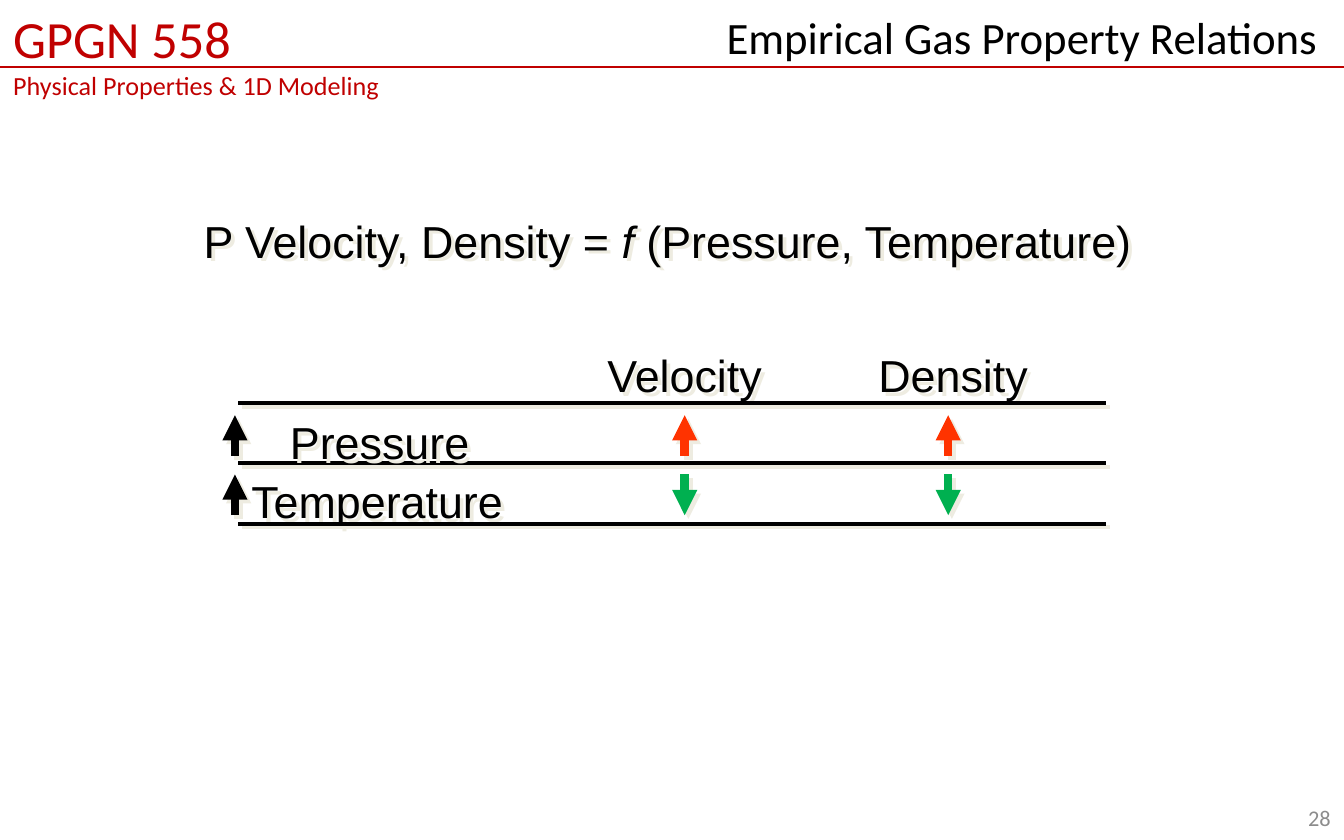
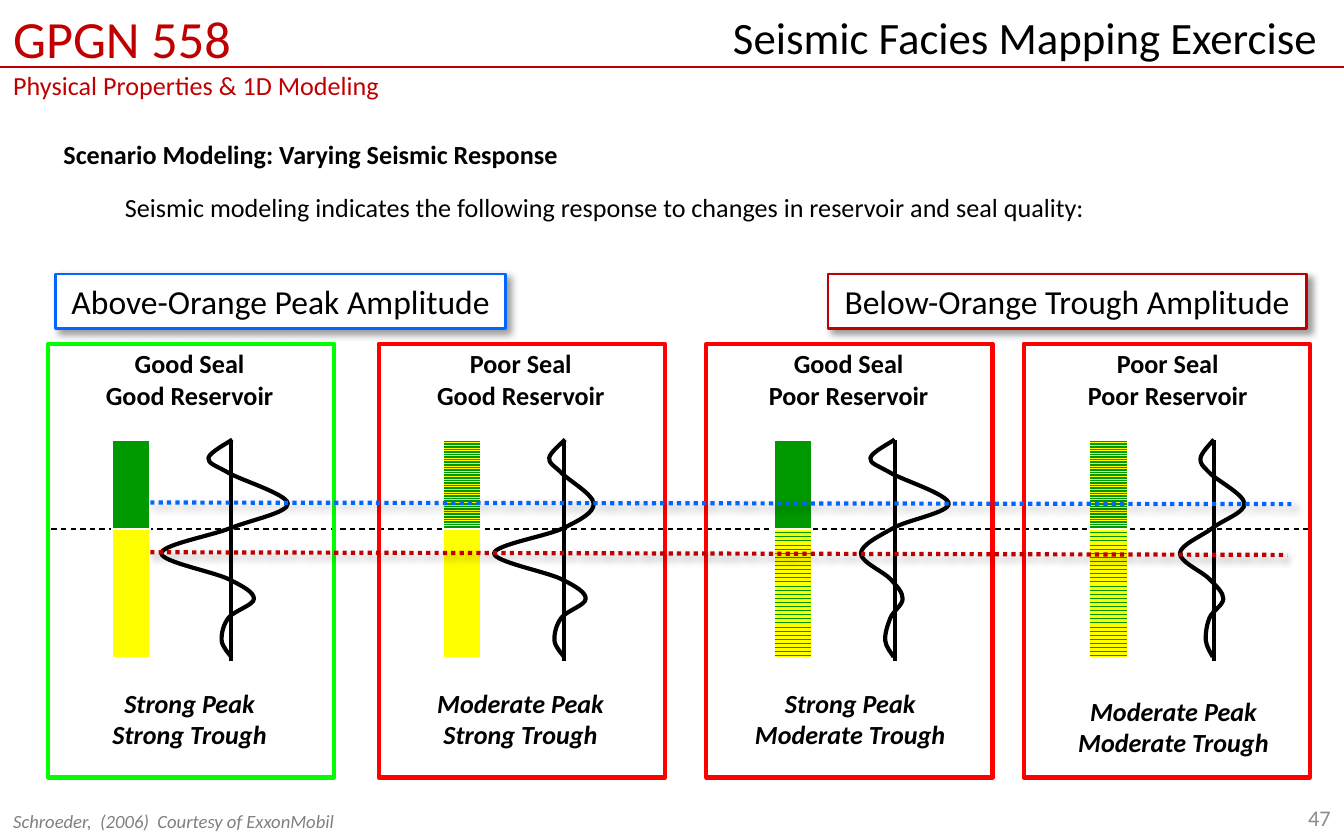
import lxml.etree
import pptx
import pptx.dml.color
import pptx.enum.dml
import pptx.enum.shapes
import pptx.enum.text
import pptx.oxml.ns
import pptx.util

Cm = pptx.util.Cm
Pt = pptx.util.Pt
ALIGN = pptx.enum.text.PP_ALIGN
ANCHOR = pptx.enum.text.MSO_ANCHOR
PATTERN = pptx.enum.dml.MSO_PATTERN
DASH = pptx.enum.dml.MSO_LINE
RECTANGLE = pptx.enum.shapes.MSO_SHAPE.RECTANGLE
STRAIGHT = pptx.enum.shapes.MSO_CONNECTOR.STRAIGHT

COLORS = {
    "black": "000000", "white": "FFFFFF", "crimson": "C00000",
    "number": "8C8C8C", "credit": "808080", "cream": "EEECE1",
    "rise": "FF3300", "fall": "00B050", "shale": "009900", "sand": "FFFF00",
    "good": "00FF00", "poor": "FF0000", "blue": "0066FF",
}
CREAM_SHADOW = ("cream", 100, 0, 2.8)
SOFT_SHADOW = ("black", 40, 4, 3)

COURSE = "GPGN 558"
CHAPTER = "Physical Properties & 1D Modeling"

FORMULA = [("P Velocity, Density = ", {}), ("f ", {"italic": True}), ("(Pressure, Temperature)", {})]
LABELS_UNDER_RULES = [
    (FORMULA, (3.6, 3.91, 18.06, 1.27), None),
    ("Temperature", (4.5, 8.63, 5.31, 1.5), 1.2),
    ("Density", (16.35, 6.45, 3.38, 1.27), None),
    ("Velocity", (11.23, 6.45, 3.45, 1.27), None),
]
LABELS_OVER_RULES = [("Pressure", (5.23, 7.52, 3.94, 1.5), 1.2)]
RULE_TOP, RULE_STEP, RULE_COUNT = 7.62, 1.14, 3
ARROW_COLUMNS = [4.44, 12.94, 17.92]
ARROW_ROWS = [
    [("black", "up"), ("rise", "up"), ("rise", "up")],
    [("black", "up"), ("fall", "down"), ("fall", "down")],
]
ARROW_TOP, ARROW_STEP, ARROW_LENGTH = 7.85, 1.12, 0.77

SCENARIO_HEADING = "Scenario Modeling: Varying Seismic Response"
SCENARIO_TEXT = "Seismic modeling indicates the following response to changes in reservoir and seal quality:"
CREDIT = "Schroeder,  (2006)  Courtesy of ExxonMobil"
BANNERS = [
    ("Above-Orange Peak Amplitude", "blue", (1.05, 5.18, 8.51, 1.03)),
    ("Below-Orange Trough Amplitude", "crimson", (15.65, 5.18, 9.04, 1.03)),
]
FRAME_TOP, FRAME_WIDTH, FRAME_HEIGHT = 6.5, 5.41, 8.2
HEADING_TOP, CAPTION_HEIGHT = 6.45, 1.45
COLUMN_WIDTH = 0.72
SEAL_TOP, CONTACT, RESERVOIR_HEIGHT = 8.32, 10, 2.44
TRACE_DEPTHS = [8.31, 8.66, 8.94, 9.52, 9.98, 10.46, 10.95, 11.32, 11.68, 12.11, 12.42]
PANELS = [
    {
        "frame": (0.91, "good"), "column": 2.12, "axis": 4.37,
        "heading": ["Good Seal", "Good Reservoir"], "heading_at": (1.73, 3.71),
        "seal": ("shale", 2.36), "reservoir": "sand",
        "trace": [0.02, -0.43, -0.05, 1.07, 0, -1.32, -0.05, 0.43, -0.05, -0.18, 0],
        "result": ["Strong Peak", "Strong Trough"], "result_at": (1.86, 12.87, 3.45),
    },
    {
        "frame": (7.16, "poor"), "column": 8.38, "axis": 10.66,
        "heading": ["Poor Seal", "Good Reservoir"], "heading_at": (7.99, 3.71),
        "seal": (PATTERN.LIGHT_HORIZONTAL, 2.11), "reservoir": "sand",
        "trace": [0.02, -0.28, -0.05, 0.56, 0, -1.32, -0.05, 0.41, -0.05, -0.18, 0],
        "result": ["Moderate Peak", "Strong Trough"], "result_at": (8, 12.87, 3.68),
    },
    {
        "frame": (13.35, "poor"), "column": 14.63, "axis": 16.91,
        "heading": ["Good Seal", "Poor Reservoir"], "heading_at": (14.26, 3.56),
        "seal": ("shale", 2.11), "reservoir": PATTERN.DARK_HORIZONTAL,
        "trace": [0, -0.46, -0.08, 1.02, -0.02, -0.64, -0.08, 0.15, -0.08, -0.18, -0.02],
        "result": ["Strong Peak", "Moderate Trough"], "result_at": (14, 12.87, 4.14),
    },
    {
        "frame": (19.35, "poor"), "column": 20.59, "axis": 22.94,
        "heading": ["Poor Seal", "Poor Reservoir"], "heading_at": (20.29, 3.56),
        "seal": (PATTERN.LIGHT_HORIZONTAL, 2.11), "reservoir": PATTERN.DARK_HORIZONTAL,
        "trace": [0, -0.25, -0.08, 0.58, -0.02, -0.64, -0.08, 0.18, -0.08, -0.15, -0.02],
        "result": ["Moderate Peak", "Moderate Trough"], "result_at": (20.11, 13.02, 4.14),
    },
]


def color(name):
    return pptx.dml.color.RGBColor.from_string(COLORS[name])


def lengths(values):
    return [Cm(value) for value in values]


def child(parent, tag, **attributes):
    return lxml.etree.SubElement(parent, pptx.oxml.ns.qn(tag), attributes)


def set_effect(shape, shadow=None):
    effects = child(shape._element.spPr, "a:effectLst")
    if shadow:
        name, opacity, blur, distance = shadow
        outer = child(effects, "a:outerShdw", blurRad=str(Pt(blur)), dist=str(Pt(distance)),
                      dir="2700000", algn="ctr", rotWithShape="0")
        tint = child(outer, "a:srgbClr", val=COLORS[name])
        child(tint, "a:alpha", val=str(opacity * 1000))


def write(frame, paragraphs, align=ALIGN.LEFT, spacing=None, wrap=True, anchor=ANCHOR.TOP, **style):
    frame.word_wrap = wrap
    frame.vertical_anchor = anchor
    for index, content in enumerate(paragraphs):
        para = frame.add_paragraph() if index else frame.paragraphs[0]
        para.alignment = align
        if spacing:
            para.line_spacing = spacing
        for text, changes in [(content, {})] if isinstance(content, str) else content:
            look = {"font": "Calibri", "size": 14, "ink": "black", **style, **changes}
            span = para.add_run()
            span.text = text
            span.font.name = look["font"]
            span.font.size = Pt(look["size"])
            span.font.bold = look.get("bold", False)
            span.font.italic = look.get("italic", False)
            span.font.color.rgb = color(look["ink"])


def add_text(page, place, paragraphs, **options):
    box = page.shapes.add_textbox(*lengths(place))
    write(box.text_frame, paragraphs, **options)
    return box


def set_line(shape, name, width):
    shape.line.color.rgb = color(name)
    shape.line.width = Pt(width)


def add_line(page, ends, name, width, dash=None, arrow=False, shadow=None):
    line = page.shapes.add_connector(STRAIGHT, *lengths(ends))
    set_line(line, name, width)
    if dash:
        line.line.dash_style = dash
    if arrow:
        child(line.line._get_or_add_ln(), "a:tailEnd", type="triangle")
    set_effect(line, shadow)
    return line


def add_rectangle(page, place, fill, edge, width, shadow=None):
    shape = page.shapes.add_shape(RECTANGLE, *lengths(place))
    if fill is None:
        shape.fill.background()
    elif fill in COLORS:
        shape.fill.solid()
        shape.fill.fore_color.rgb = color(fill)
    else:
        shape.fill.patterned()
        shape.fill.pattern = fill
        shape.fill.fore_color.rgb = color("sand")
        shape.fill.back_color.rgb = color("shale")
    set_line(shape, edge, width)
    set_effect(shape, shadow)
    return shape


def round_corners(shape):
    points = list(shape._element.iter(pptx.oxml.ns.qn("a:pt")))
    knots = [(int(point.get("x")), int(point.get("y"))) for point in points]
    padded = [knots[0], *knots, knots[-1]]
    for point, before, start, end, after in zip(points[1:], padded, padded[1:], padded[2:], padded[3:]):
        segment = point.getparent()
        curve = lxml.etree.Element(pptx.oxml.ns.qn("a:cubicBezTo"))
        leave = [b + (c - a) / 6 for a, b, c in zip(before, start, end)]
        arrive = [b - (c - a) / 6 for a, b, c in zip(start, end, after)]
        for x, y in (leave, arrive, end):
            child(curve, "a:pt", x=str(round(x)), y=str(round(y)))
        segment.getparent().replace(segment, curve)


def add_trace(page, axis, offsets):
    start, *rest = [lengths((axis + offset, depth)) for offset, depth in zip(offsets, TRACE_DEPTHS)]
    builder = page.shapes.build_freeform(*start)
    builder.add_line_segments(rest, close=False)
    trace = builder.convert_to_shape()
    round_corners(trace)
    trace.fill.background()
    set_line(trace, "black", 2.25)
    set_effect(trace)


def add_page(deck, title, number):
    page = deck.slides.add_slide(deck.slide_layouts[6])
    header = add_text(page, (0, 0, 8.05, 2.97), [[(COURSE, {"size": 28})], CHAPTER], ink="crimson")
    add_line(page, (-0.05, 1.27, 25.43, 1.27), "crimson", 1.25)
    heading = add_text(page, (10.36, 0.06, 15.04, 1.27), [title], align=ALIGN.RIGHT, size=24)
    for box in (header, heading):
        box.text_frame.margin_right = Cm(0.51)
    add_text(page, (19.48, 15.04, 5.92, 0.84), [number], align=ALIGN.RIGHT,
             anchor=ANCHOR.MIDDLE, size=12, ink="number")
    return page


def add_labels(page, labels):
    for content, place, spacing in labels:
        box = add_text(page, place, [content], spacing=spacing, font="Arial", size=24)
        set_effect(box, CREAM_SHADOW)


def add_gas_page(deck):
    page = add_page(deck, "Empirical Gas Property Relations", "28")
    add_labels(page, LABELS_UNDER_RULES)
    for index in range(RULE_COUNT):
        y = RULE_TOP + index * RULE_STEP
        add_line(page, (4.5, y, 20.9, y), "black", 2.25, shadow=CREAM_SHADOW)
    add_labels(page, LABELS_OVER_RULES)
    for index, row in enumerate(ARROW_ROWS):
        top = ARROW_TOP + index * ARROW_STEP
        for x, (name, direction) in zip(ARROW_COLUMNS, row):
            start, end = top, top + ARROW_LENGTH
            if direction == "up":
                start, end = end, start
            add_line(page, (x, start, x, end), name, 4.5, arrow=True, shadow=CREAM_SHADOW)


def add_panel(page, panel):
    left, edge = panel["frame"]
    column, axis = panel["column"], panel["axis"]
    seal_fill, seal_height = panel["seal"]
    heading_left, heading_width = panel["heading_at"]
    add_text(page, (heading_left, HEADING_TOP, heading_width, CAPTION_HEIGHT), panel["heading"],
             align=ALIGN.CENTER, wrap=False, bold=True)
    add_rectangle(page, (left, FRAME_TOP, FRAME_WIDTH, FRAME_HEIGHT), None, edge, 2.25)
    seal = add_rectangle(page, (column, SEAL_TOP, COLUMN_WIDTH, seal_height), seal_fill, "white", 1)
    add_rectangle(page, (column, CONTACT, COLUMN_WIDTH, RESERVOIR_HEIGHT),
                  panel["reservoir"], "white", 1)
    add_line(page, (axis, 12.5, axis, 8.31), "black", 2.25)
    add_trace(page, axis, panel["trace"])
    add_text(page, (*panel["result_at"], CAPTION_HEIGHT), panel["result"],
             align=ALIGN.CENTER, wrap=False, bold=True, italic=True)
    return seal


def add_facies_page(deck):
    page = add_page(deck, "Seismic Facies Mapping Exercise", "47")
    add_text(page, (0.95, 2.49, 9.93, 0.86), [SCENARIO_HEADING], wrap=False, bold=True)
    add_text(page, (2.11, 3.49, 22.58, 0.86), [SCENARIO_TEXT])
    add_line(page, (0.97, CONTACT, 24.77, CONTACT), "black", 0.75, dash=DASH.DASH)
    seals = [add_panel(page, panel) for panel in PANELS]
    add_text(page, (0, 15.17, 10.8, 0.69), [CREDIT], anchor=ANCHOR.MIDDLE,
             size=10, ink="credit", italic=True)
    for text, edge, place in BANNERS:
        banner = add_rectangle(page, place, "white", edge, 1.5, SOFT_SHADOW)
        write(banner.text_frame, [text], align=ALIGN.CENTER, wrap=False, size=18)
    peak = add_line(page, (2.84, 9.5, 24.41, 9.53), "blue", 2.25, DASH.ROUND_DOT, shadow=SOFT_SHADOW)
    peak.begin_connect(seals[0], 3)
    add_line(page, (2.84, 10.44, 24.33, 10.49), "crimson", 2.25, DASH.ROUND_DOT, shadow=SOFT_SHADOW)


def main():
    deck = pptx.Presentation()
    deck.slide_width, deck.slide_height = Cm(25.4), Cm(15.88)
    add_gas_page(deck)
    add_facies_page(deck)
    deck.save("out.pptx")


if __name__ == "__main__":
    main()
